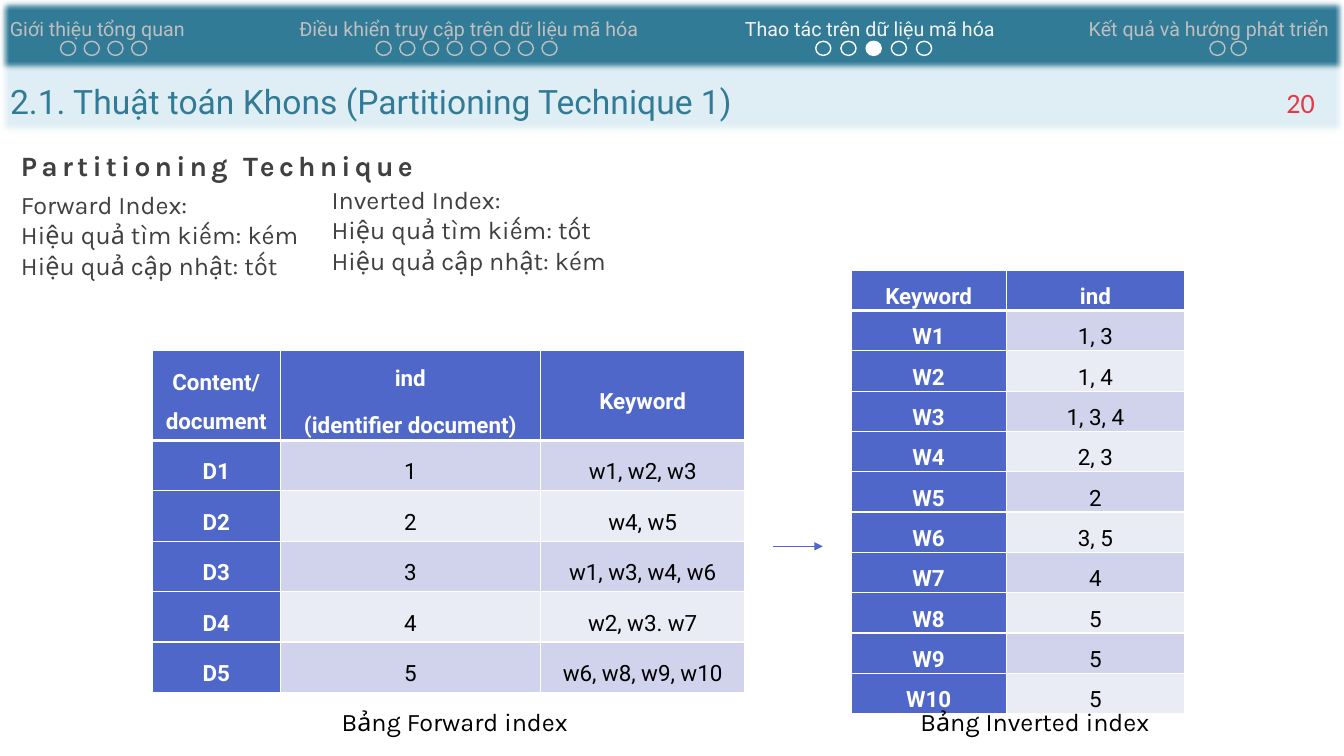
from lxml import etree
from pptx import Presentation
from pptx.dml.color import RGBColor
from pptx.enum.shapes import MSO_CONNECTOR, MSO_SHAPE
from pptx.enum.text import MSO_ANCHOR, MSO_AUTO_SIZE, PP_ALIGN
from pptx.oxml.ns import qn
from pptx.util import Inches, Pt

LEFT, CENTER, RIGHT, JUSTIFY = PP_ALIGN.LEFT, PP_ALIGN.CENTER, PP_ALIGN.RIGHT, PP_ALIGN.JUSTIFY
TOP, MIDDLE = MSO_ANCHOR.TOP, MSO_ANCHOR.MIDDLE
RECT, OVAL = MSO_SHAPE.RECTANGLE, MSO_SHAPE.OVAL

TEAL, PALE, BLUE, WHITE = "327B97", "DFEEF4", "4E67C8", "FFFFFF"
GREY, DARK, BLACK = "BFBFBF", "404040", "000000"
BANDS = ("D0D3EB", "E9EBF5")

TITLE = "2.1. Thuật toán Khons (Partitioning Technique 1)"
PAGE = "20"
HEADING = "Partitioning Technique"

NOTES = [
    ((0.11, 1.83, 3.35, 1),
     ["Forward Index:", "Hiệu quả tìm kiếm: kém", "Hiệu quả cập nhật: tốt"]),
    ((3.19, 1.78, 6.84, 1),
     ["Inverted Index:", "Hiệu quả tìm kiếm: tốt", "Hiệu quả cập nhật: kém"]),
]

FORWARD = [
    ("Content/ document", "ind\n(identifier document)", "Keyword"),
    ("D1", "1", "w1, w2, w3"),
    ("D2", "2", "w4, w5"),
    ("D3", "3", "w1, w3, w4, w6"),
    ("D4", "4", "w2, w3. w7"),
    ("D5", "5", "w6, w8, w9, w10"),
]
INVERTED = [
    ("Keyword", "ind"),
    ("W1", "1, 3"),
    ("W2", "1, 4"),
    ("W3", "1, 3, 4"),
    ("W4", "2, 3"),
    ("W5", "2"),
    ("W6", "3, 5"),
    ("W7", "4"),
    ("W8", "5"),
    ("W9", "5"),
    ("W10", "5"),
]
TABLES = [
    (FORWARD, 1.51, 3.48, (1.27, 2.58, 2.03), 0.89, 0.5),
    (INVERTED, 8.44, 2.68, (1.54, 1.77), 0.39, 0.39),
]
CAPTIONS = [("Bảng Forward index", 3.29), ("Bảng Inverted index", 9.03)]

# label, left, width, text colour, dot colour, first dot, dot pitch, dots, current dot
SECTIONS = [
    ("Giới thiệu tổng quan", 0, 1.96, GREY, GREY, 0.6, 0.235, 4, None),
    ("Điều khiển truy cập trên dữ liệu mã hóa", 2.87, 3.75, GREY, GREY, 3.73, 0.235, 8, None),
    ("Thao tác trên dữ liệu mã hóa", 7.29, 2.69, "F2F2F2", WHITE, 8.09, 0.25, 5, 2),
    ("Kết quả và hướng phát triển", 10.7, 2.63, GREY, GREY, 12, 0.21, 2, None),
]


def rgb(color):
    return RGBColor.from_string(color)


def place(sp, box):
    sp.left, sp.top, sp.width, sp.height = (Inches(v) for v in box)


def write(tf, lines, size, font, color, bold=False, align=LEFT, spacing=1.0, after=0):
    tf.text = "\n".join(lines)
    for p in tf.paragraphs:
        p.alignment, p.line_spacing, p.space_after = align, spacing, Pt(after)
        for r in p.runs:
            r.font.size, r.font.name, r.font.bold = Pt(size), font, bold
            r.font.color.rgb = rgb(color)


def add_text(box, lines, *style, anchor=TOP, **options):
    tf = slide.shapes.add_textbox(*(Inches(v) for v in box)).text_frame
    tf.word_wrap, tf.vertical_anchor = True, anchor
    write(tf, lines, *style, **options)
    return tf


def add_shape(kind, box, fill, line):
    sp = slide.shapes.add_shape(kind, *(Inches(v) for v in box))
    sp.shadow.inherit = False
    if fill:
        sp.fill.solid()
        sp.fill.fore_color.rgb = rgb(fill)
    else:
        sp.fill.background()
    sp.line.color.rgb, sp.line.width = rgb(line), Pt(1)
    return sp


def add_bar(top, fill, line):
    sp = add_shape(RECT, (0, top, 13.33, 0.7), fill, line)
    effects = sp._element.spPr.find(qn("a:effectLst"))
    etree.SubElement(effects, qn("a:softEdge"), rad=str(Pt(5)))


def add_borders(cell, bottom):
    tc_pr = cell._tc.get_or_add_tcPr()
    for side, width in (("L", 1), ("R", 1), ("T", 1), ("B", bottom)):
        ln = etree.SubElement(tc_pr, qn("a:ln" + side), w=str(Pt(width)))
        fill = etree.SubElement(ln, qn("a:solidFill"))
        etree.SubElement(fill, qn("a:srgbClr"), val=WHITE)


def add_table(rows, left, top, widths, head_height, row_height):
    heights = [head_height] + [row_height] * (len(rows) - 1)
    box = (left, top, sum(widths), sum(heights))
    table = slide.shapes.add_table(len(rows), len(widths), *(Inches(v) for v in box)).table
    for column, width in zip(table.columns, widths):
        column.width = Inches(width)
    for i, values in enumerate(rows):
        table.rows[i].height = Inches(heights[i])
        for j, value in enumerate(values):
            cell = table.cell(i, j)
            header = i == 0 or j == 0
            cell.margin_left = cell.margin_right = Inches(0.07)
            cell.margin_top = cell.margin_bottom = 0
            cell.vertical_anchor = MIDDLE
            add_borders(cell, 3 if i == 0 else 1)
            cell.fill.solid()
            cell.fill.fore_color.rgb = rgb(BLUE if header else BANDS[(i - 1) % 2])
            write(cell.text_frame, value.split("\n"), 16, "Roboto",
                  WHITE if header else BLACK, header, CENTER, 1.5, 6)


prs = Presentation()
prs.slide_width, prs.slide_height = Inches(13.33), Inches(7.5)
slide = prs.slides.add_slide(prs.slide_layouts[5])

add_bar(0.62, PALE, PALE)
title = slide.shapes.title
slide.shapes._spTree.append(title._element)
place(title, (0, 0.55, 13.23, 0.64))
tf = title.text_frame
tf.auto_size, tf.vertical_anchor, tf.word_wrap = MSO_AUTO_SIZE.NONE, TOP, True
write(tf, [TITLE], 24, "Roboto", TEAL, spacing=1.5)
tf.paragraphs[0].space_before = Pt(0)

tf = add_text((0.11, 1.42, 12.6, 0.43), [HEADING], 20, "Karla", DARK, bold=True, align=JUSTIFY)
tf.paragraphs[0].runs[0].font._element.set("spc", "300")

for table in TABLES:
    add_table(*table)
for caption, left in CAPTIONS:
    add_text((left, 6.96, 2.48, 0.4), [caption], 18, "Karla", BLACK)
for box, lines in NOTES:
    add_text(box, lines, 18, "Karla", DARK, align=JUSTIFY)
add_text((12.01, 0.69, 1.13, 0.64), [PAGE], 20, "Calibri", "E63946", align=RIGHT, anchor=MIDDLE)

arrow = slide.shapes.add_connector(
    MSO_CONNECTOR.STRAIGHT, Inches(7.67), Inches(5.42), Inches(8.16), Inches(5.42))
arrow.line.color.rgb, arrow.line.width = rgb(BLUE), Pt(0.5)
etree.SubElement(arrow.line._get_or_add_ln(), qn("a:tailEnd"), type="triangle")
etree.SubElement(arrow._element.spPr, qn("a:effectLst"))

add_bar(0, TEAL, "63AECB")
for label, left, width, color, dot_color, first, pitch, count, current in SECTIONS:
    add_text((left, 0, width, 0.42), [label], 14, "Roboto", color, spacing=1.5)
    for n in range(count):
        add_shape(OVAL, (first + n * pitch, 0.41, 0.15, 0.14),
                  WHITE if n == current else None, dot_color)

prs.save("out.pptx")
